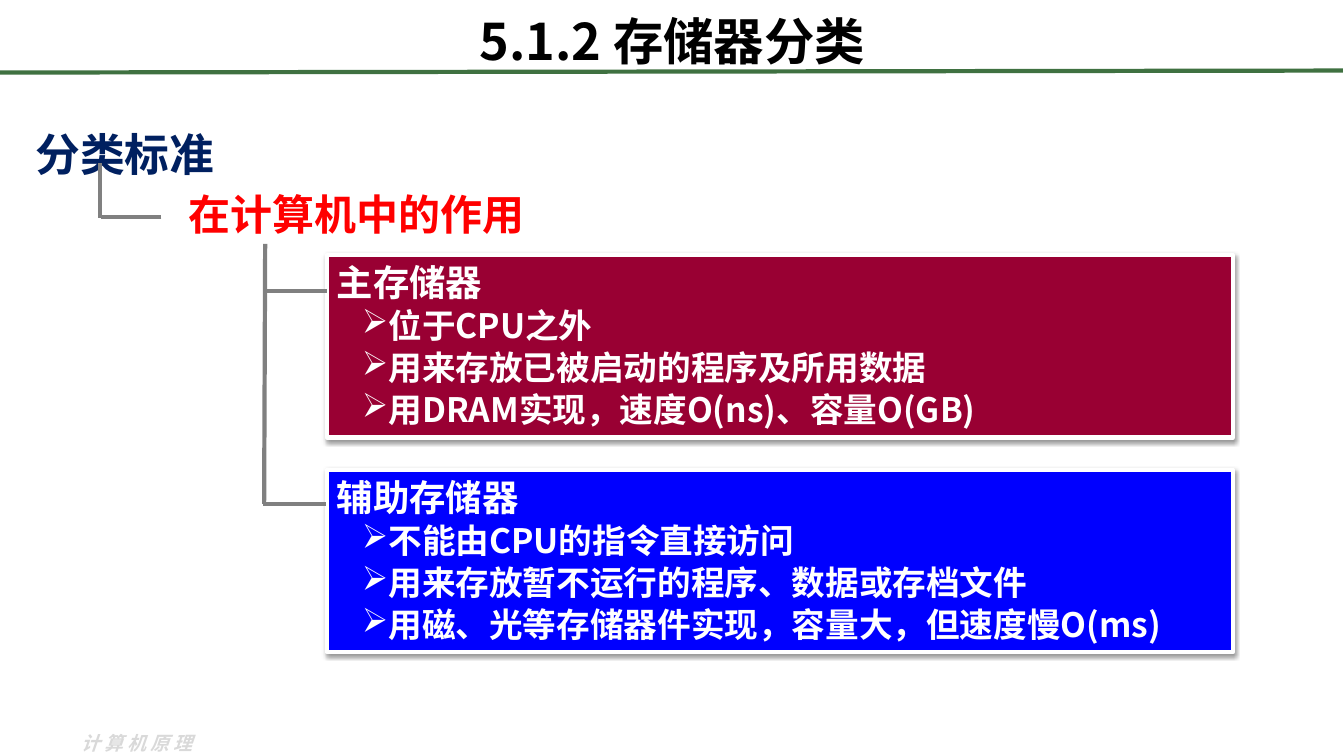
from dataclasses import dataclass

import pptx
import pptx.dml.color
import pptx.enum.shapes
import pptx.enum.text
import pptx.oxml
import pptx.oxml.ns
import pptx.util
from lxml import etree

Inches = pptx.util.Inches
Pt = pptx.util.Pt
ALIGN = pptx.enum.text.PP_ALIGN
ANCHOR = pptx.enum.text.MSO_ANCHOR
FONT = "Noto Sans CJK SC"
GRAY = "808080"
BULLET = "➢"


@dataclass
class Label:
    text: str
    left: float
    top: float
    width: float
    height: float
    size: float
    color: str
    align: ALIGN = ALIGN.LEFT
    anchor: ANCHOR = ANCHOR.TOP
    line_spacing: float = 1.0
    space_before: float = 0
    italic: bool = False
    tracking: int = 0


@dataclass
class MemoryBox:
    top: float
    fill: str
    heading: str
    points: list[str]


@dataclass
class Line:
    x1: float
    y1: float
    x2: float
    y2: float
    color: str = GRAY


def rgb(value: str) -> pptx.dml.color.RGBColor:
    return pptx.dml.color.RGBColor.from_string(value)


def add_run(p, text: str, size: float, color: str, italic: bool = False):
    r = p.add_run()
    r.text = text
    r.font.size = Pt(size)
    r.font.bold = True
    r.font.italic = italic
    r.font.name = FONT
    r.font.color.rgb = rgb(color)
    ea = etree.SubElement(r.font._element, pptx.oxml.ns.qn("a:ea"))
    ea.set("typeface", FONT)
    return r


def add_label(s, label: Label) -> None:
    sp = s.shapes.add_textbox(Inches(label.left), Inches(label.top),
                              Inches(label.width), Inches(label.height))
    tf = sp.text_frame
    tf.word_wrap = True
    tf.vertical_anchor = label.anchor
    p = tf.paragraphs[0]
    p.alignment = label.align
    p.line_spacing = label.line_spacing
    p.space_before = Pt(label.space_before)
    r = add_run(p, label.text, label.size, label.color, label.italic)
    if label.tracking:
        r.font._element.set("spc", str(label.tracking))


def add_shadow(sp) -> None:
    sp.shadow.inherit = False
    effects = sp._element.spPr.find(pptx.oxml.ns.qn("a:effectLst"))
    effects.append(pptx.oxml.parse_xml(
        f'<a:outerShdw {pptx.oxml.ns.nsdecls("a")} blurRad="{Pt(3.1)}" dist="{Pt(1.6)}" '
        'dir="5400000" algn="t" rotWithShape="0"><a:srgbClr val="000000">'
        '<a:alpha val="38000"/></a:srgbClr></a:outerShdw>'))


def add_memory_box(s, box: MemoryBox) -> None:
    sp = s.shapes.add_shape(pptx.enum.shapes.MSO_SHAPE.RECTANGLE, Inches(3.24),
                            Inches(box.top), Inches(8.99), Inches(1.81))
    sp.fill.solid()
    sp.fill.fore_color.rgb = rgb(box.fill)
    sp.line.color.rgb = rgb("FFFFFF")
    sp.line.width = Pt(3)
    add_shadow(sp)
    tf = sp.text_frame
    tf.word_wrap = True
    tf.vertical_anchor = ANCHOR.TOP
    for i, text in enumerate([box.heading, *box.points]):
        p = tf.add_paragraph() if i else tf.paragraphs[0]
        p.alignment = ALIGN.LEFT
        p.space_before = Pt(1.2)
        add_run(p, text, 24 if i else 26, "FFFFFF")
        if i:
            p.level = 1
            pPr = p._p.get_or_add_pPr()
            pPr.set("marL", str(Inches(0.5)))
            pPr.set("indent", str(Inches(-0.25)))
            bullet = etree.SubElement(pPr, pptx.oxml.ns.qn("a:buChar"))
            bullet.set("char", BULLET)


def add_line(s, line: Line) -> None:
    c = s.shapes.add_connector(pptx.enum.shapes.MSO_CONNECTOR.STRAIGHT,
                               Inches(line.x1), Inches(line.y1),
                               Inches(line.x2), Inches(line.y2))
    c.line.color.rgb = rgb(line.color)
    c.line.width = Pt(3)
    etree.SubElement(c._element.spPr, pptx.oxml.ns.qn("a:effectLst"))


LABELS = [
    Label("计算机原理", 0.71, 7.21, 1.46, 0.34, 13.5, "D9D9D9", italic=True, tracking=300),
    Label("5.1.2 存储器分类", 0.67, -0.03, 12, 0.85, 36, "000000",
          ALIGN.CENTER, ANCHOR.MIDDLE),
    Label("在计算机中的作用", 1.77, 1.82, 7.99, 0.61, 30, "FF0000", space_before=1.5),
    Label("分类标准", 0.18, 1.04, 2.12, 0.64, 32, "002060",
          ALIGN.CENTER, ANCHOR.MIDDLE, 1.6, 1.6),
]
BOXES = [
    MemoryBox(2.53, "990033", "主存储器",
              ["位于CPU之外", "用来存放已被启动的程序及所用数据",
               "用DRAM实现，速度O(ns)、容量O(GB)"]),
    MemoryBox(4.66, "0000FF", "辅助存储器",
              ["不能由CPU的指令直接访问", "用来存放暂不运行的程序、数据或存档文件",
               "用磁、光等存储器件实现，容量大，但速度慢O(ms)"]),
]
LINES = [
    Line(0, 0.72, 13.32, 0.7, "3F7141"),
    Line(0.99, 1.62, 0.99, 2.16),
    Line(1.6, 2.15, 1, 2.15),
    Line(2.63, 2.42, 2.62, 5),
    Line(3.24, 2.89, 2.64, 2.89),
    Line(3.23, 5, 2.61, 5),
]


def main() -> None:
    prs = pptx.Presentation()
    prs.slide_width = Inches(13.33)
    prs.slide_height = Inches(7.5)
    s = prs.slides.add_slide(prs.slide_layouts[6])
    # Title, footer and tree headings
    for label in LABELS:
        add_label(s, label)
    # Memory categories
    for box in BOXES:
        add_memory_box(s, box)
    # Title rule and tree branches
    for line in LINES:
        add_line(s, line)
    prs.save("out.pptx")


if __name__ == "__main__":
    main()
